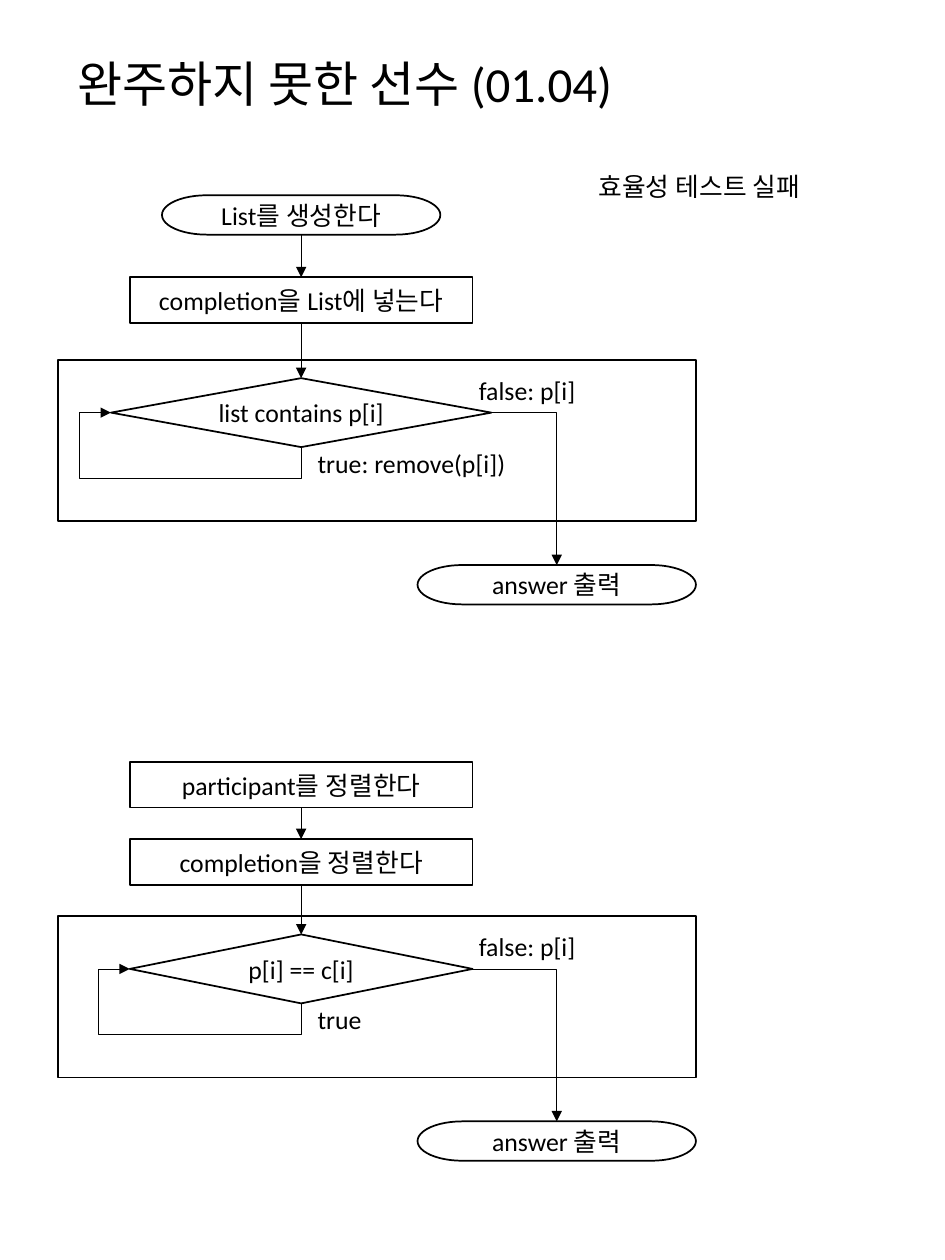
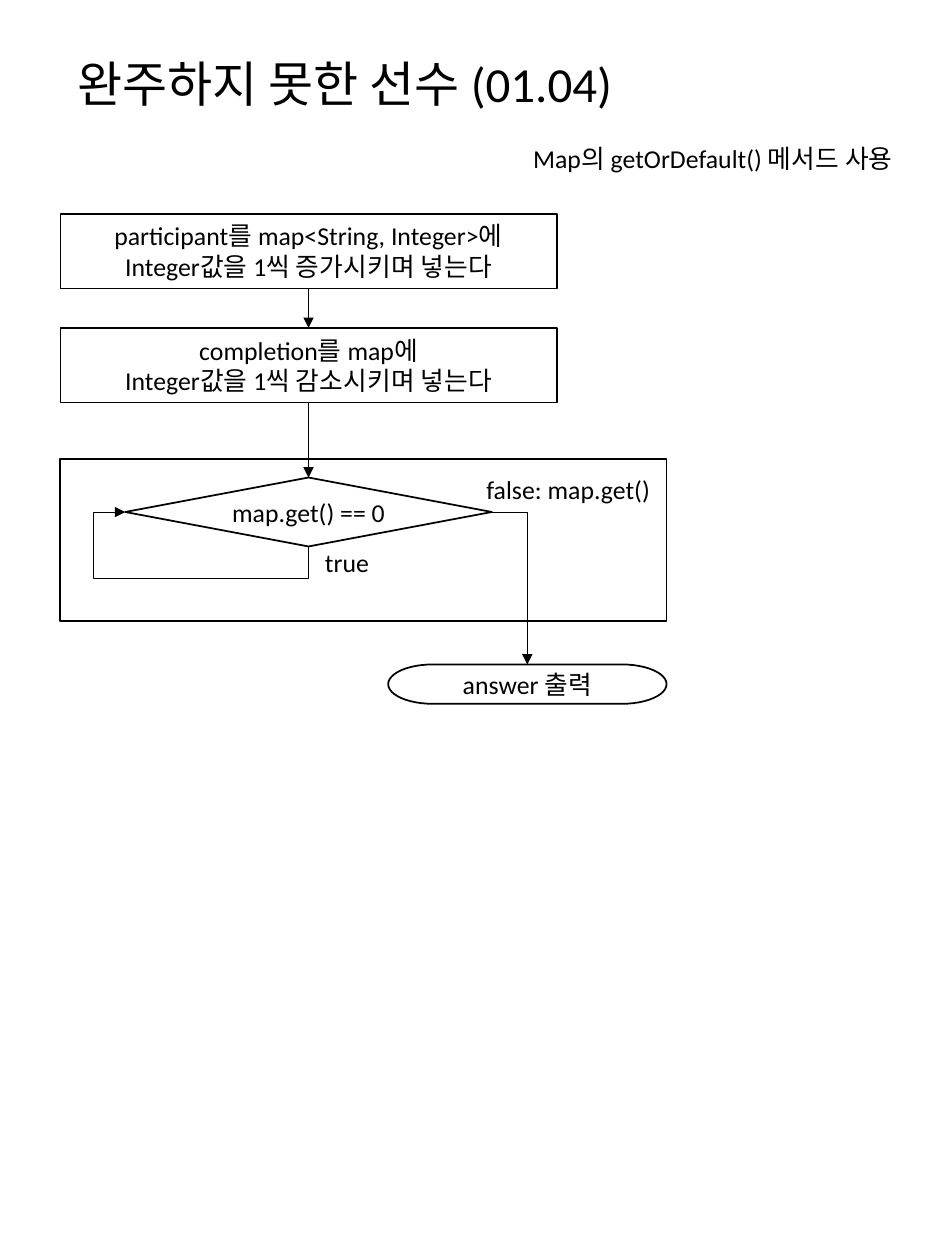
from dataclasses import dataclass
from typing import Optional

from lxml.etree import SubElement
from pptx import Presentation
from pptx.dml.color import RGBColor
from pptx.enum.shapes import MSO_CONNECTOR as Link, MSO_SHAPE as Preset
from pptx.enum.text import MSO_ANCHOR as Anchor, MSO_AUTO_SIZE as AutoSize, PP_ALIGN as Align
from pptx.oxml.ns import qn
from pptx.util import Pt

INK = RGBColor(0x00, 0x00, 0x00)
PAPER = RGBColor(0xFF, 0xFF, 0xFF)
FONT = "Calibri"
TITLE = "완주하지 못한 선수 (01.04)"
TITLE_SIZE, BODY_SIZE = 28, 14.7
SHAPE_LINE, LINK_LINE = 1, 0.5

TOP, LEFT, BOTTOM, RIGHT = range(4)

LABEL_HEIGHT, LABEL_INSET = 25.2, 3.6
FRAME_HEIGHT = 92.2
DIAMOND_DROP, DIAMOND_HEIGHT = 10.4, 39.4
LOOP_GAP = 18
PILL_WIDTH, PILL_HEIGHT = 159.1, 22.5
ANSWER_GAP = 25


@dataclass(frozen=True)
class Step:
    lines: tuple[str, ...]
    top: float
    width: float
    height: float
    preset: Preset = Preset.RECTANGLE


@dataclass(frozen=True)
class Label:
    text: str
    left: float
    top: float
    width: float


@dataclass(frozen=True)
class Flow:
    centre: float
    steps: tuple[Step, ...]
    frame_left: float
    frame_top: float
    frame_width: float
    question: str
    diamond_width: float
    yes: str
    yes_width: float
    no: str
    no_left: float
    no_width: float


@dataclass(frozen=True)
class PagePlan:
    flows: tuple[Flow, ...]
    remark: Label


def write(text_frame, lines: tuple[str, ...], size: float, align: Optional[Align] = None) -> None:
    for index, line in enumerate(lines):
        para = text_frame.paragraphs[0] if index == 0 else text_frame.add_paragraph()
        para.alignment = align
        span = para.add_run()
        span.text = line
        span.font.name = FONT
        span.font.size = Pt(size)
        span.font.color.rgb = INK


def draw_shape(page, preset: Preset, left: float, top: float, width: float, height: float,
               lines: tuple[str, ...] = ()):
    shape = page.shapes.add_shape(preset, Pt(left), Pt(top), Pt(width), Pt(height))
    shape.shadow.inherit = False
    shape.fill.background()
    shape.line.color.rgb = INK
    shape.line.width = Pt(SHAPE_LINE)
    shape.text_frame.vertical_anchor = Anchor.MIDDLE
    write(shape.text_frame, lines, BODY_SIZE, Align.CENTER)
    return shape


def draw_label(page, label: Label) -> None:
    box = page.shapes.add_textbox(Pt(label.left), Pt(label.top), Pt(label.width), Pt(LABEL_HEIGHT))
    text_frame = box.text_frame
    text_frame.word_wrap = False
    text_frame.auto_size = AutoSize.SHAPE_TO_FIT_TEXT
    text_frame.margin_left = text_frame.margin_right = Pt(LABEL_INSET)
    text_frame.margin_top = text_frame.margin_bottom = Pt(LABEL_INSET)
    write(text_frame, (label.text,), BODY_SIZE)


def draw_title(page) -> None:
    box = page.shapes.add_textbox(Pt(37.4), Pt(27.4), Pt(465.8), Pt(43.9))
    box.text_frame.word_wrap = True
    box.text_frame.vertical_anchor = Anchor.MIDDLE
    write(box.text_frame, (TITLE,), TITLE_SIZE)
    box.text_frame.paragraphs[0].line_spacing = 0.9


def draw_arrow(page, start, start_site: int, end, end_site: int, kind: Link = Link.STRAIGHT):
    arrow = page.shapes.add_connector(kind, 0, 0, 0, 0)
    arrow.begin_connect(start, start_site)
    arrow.end_connect(end, end_site)
    arrow.line.color.rgb = INK
    arrow.line.width = Pt(LINK_LINE)
    SubElement(arrow.line._get_or_add_ln(), qn("a:tailEnd"), type="triangle")
    SubElement(arrow._element.spPr, qn("a:effectLst"))
    return arrow


def bend(arrow, preset: str, **guides: float) -> None:
    geometry = arrow._element.spPr.find(qn("a:prstGeom"))
    geometry.set("prst", preset)
    for name, share in guides.items():
        SubElement(geometry.find(qn("a:avLst")), qn("a:gd"), name=name,
                   fmla=f"val {round(share * 100000)}")


def draw_loop(page, diamond) -> None:
    loop = draw_arrow(page, diamond, BOTTOM, diamond, LEFT, Link.ELBOW)
    run, rise = diamond.width // 2, diamond.height // 2
    middle_x = diamond.left + run // 2
    middle_y = diamond.top + rise + rise // 2
    loop.left, loop.top = middle_x - rise // 2, middle_y - run // 2
    loop.width, loop.height = rise, run
    transform = loop._element.spPr.find(qn("a:xfrm"))
    transform.attrib.pop("flipV", None)
    transform.set("flipH", "1")
    transform.set("rot", "5400000")
    gap = Pt(LOOP_GAP)
    bend(loop, "bentConnector4", adj1=-gap / rise, adj2=1 + gap / run)


def draw_flow(page, flow: Flow) -> None:
    chain = [draw_shape(page, step.preset, flow.centre - step.width / 2, step.top,
                        step.width, step.height, step.lines) for step in flow.steps]
    draw_shape(page, Preset.RECTANGLE, flow.frame_left, flow.frame_top,
               flow.frame_width, FRAME_HEIGHT)
    diamond_top = flow.frame_top + DIAMOND_DROP
    diamond = draw_shape(page, Preset.DIAMOND, flow.centre - flow.diamond_width / 2, diamond_top,
                         flow.diamond_width, DIAMOND_HEIGHT, (flow.question,))
    chain.append(diamond)
    for upper, lower in zip(chain, chain[1:]):
        draw_arrow(page, upper, BOTTOM, lower, TOP)
    answer = draw_shape(page, Preset.FLOWCHART_TERMINATOR,
                        flow.frame_left + flow.frame_width - PILL_WIDTH,
                        flow.frame_top + FRAME_HEIGHT + ANSWER_GAP,
                        PILL_WIDTH, PILL_HEIGHT, ("answer 출력",))
    draw_loop(page, diamond)
    bend(draw_arrow(page, diamond, RIGHT, answer, TOP, Link.ELBOW), "bentConnector2")
    draw_label(page, Label(flow.yes, flow.centre + 5.8,
                           diamond_top + DIAMOND_HEIGHT - 3.4, flow.yes_width))
    draw_label(page, Label(flow.no, flow.no_left, diamond_top - 5.7, flow.no_width))


def bar(text: str, top: float) -> Step:
    return Step((text,), top, 195.9, 26.1)


def tall_bar(first: str, second: str, top: float) -> Step:
    return Step((first, second), top, 283.6, 42.7)


LIST_FLOW = Flow(
    centre=172.1,
    steps=(Step(("List를 생성한다",), 111.6, PILL_WIDTH, PILL_HEIGHT, Preset.FLOWCHART_TERMINATOR),
           bar("completion을 List에 넣는다", 158.4)),
    frame_left=33.1, frame_top=205.7, frame_width=364.6,
    question="list contains p[i]", diamond_width=217.4,
    yes="true: remove(p[i])", yes_width=115.2,
    no="false: p[i]", no_left=270, no_width=63.4)

SORT_FLOW = Flow(
    centre=172.1,
    steps=(bar("participant를 정렬한다", 435.4), bar("completion을 정렬한다", 479.5)),
    frame_left=33.1, frame_top=523.6, frame_width=364.6,
    question="p[i] == c[i]", diamond_width=195.9,
    yes="true", yes_width=33.1,
    no="false: p[i]", no_left=270, no_width=63.4)

MAP_FLOW = Flow(
    centre=176.3,
    steps=(tall_bar("participant를 map<String, Integer>에", "Integer값을 1씩 증가시키며 넣는다", 122.2),
           tall_bar("completion를 map에", "Integer값을 1씩 감소시키며 넣는다", 187.4)),
    frame_left=34.5, frame_top=262.5, frame_width=346.4,
    question="map.get() == 0", diamond_width=209.5,
    yes="true", yes_width=33.1,
    no="false: map.get()", no_left=274.3, no_width=101.5)

PAGES = (
    PagePlan((SORT_FLOW, LIST_FLOW), Label("효율성 테스트 실패", 338.4, 94.3, 132.5)),
    PagePlan((MAP_FLOW,), Label("Map의 getOrDefault() 메서드 사용", 301, 77.8, 221)),
)


def main() -> None:
    deck = Presentation()
    deck.slide_width, deck.slide_height = Pt(540), Pt(720)
    for plan in PAGES:
        page = deck.slides.add_slide(deck.slide_layouts[6])
        page.background.fill.solid()
        page.background.fill.fore_color.rgb = PAPER
        draw_title(page)
        for flow in plan.flows:
            draw_flow(page, flow)
        draw_label(page, plan.remark)
    deck.save("out.pptx")


main()
